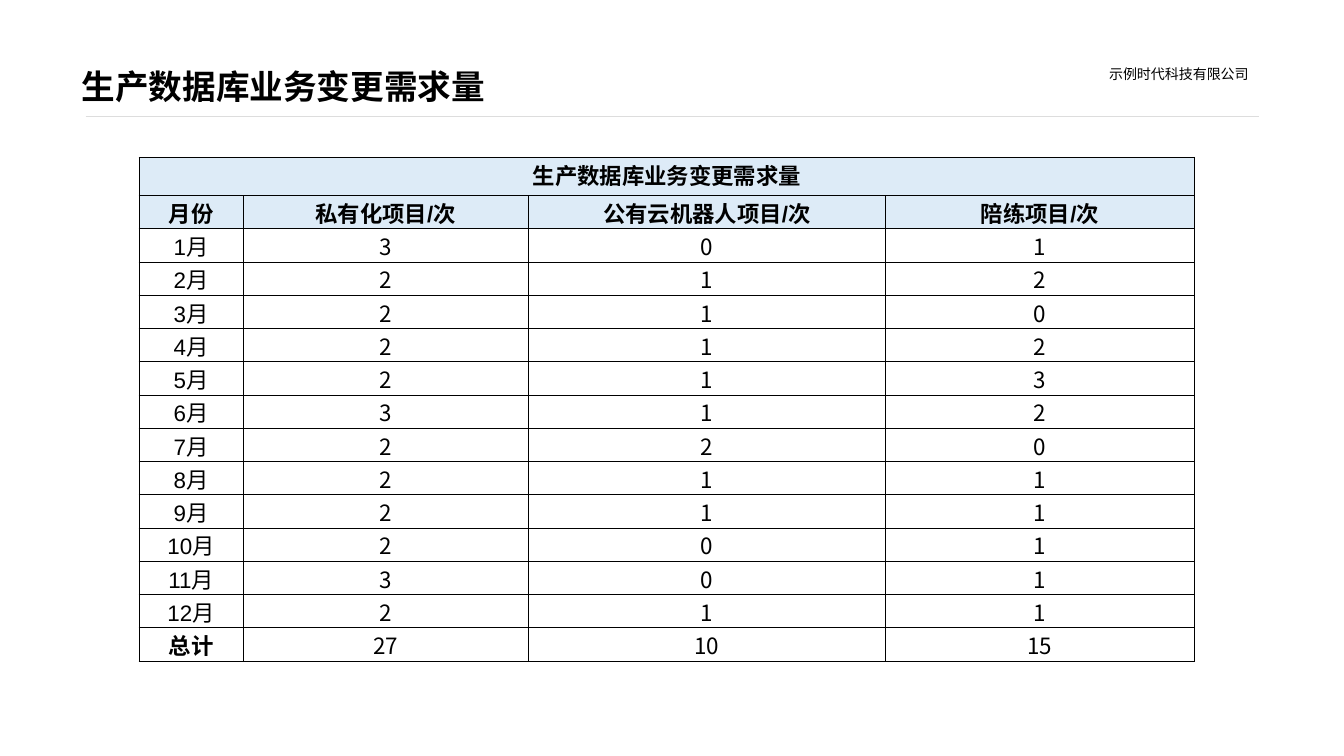
import pptx
import pptx.util
import pptx.dml.color
import pptx.enum.text
import pptx.enum.shapes
import pptx.oxml
import pptx.oxml.ns
from lxml import etree

TITLE = "生产数据库业务变更需求量"
FIRM = "示例时代科技有限公司"
HEADS = ["月份", "私有化项目/次", "公有云机器人项目/次", "陪练项目/次"]
COUNTS = [
    (3, 0, 1), (2, 1, 2), (2, 1, 0), (2, 1, 2), (2, 1, 3), (3, 1, 2),
    (2, 2, 0), (2, 1, 1), (2, 1, 1), (2, 0, 1), (3, 0, 1), (2, 1, 1),
]
WIDTHS = [1.03, 2.83, 3.54, 3.07]
TOP_ROW, ROW = 0.38, 0.33
LATIN, HAN = "Arial", "Noto Sans CJK SC"
BLACK, RULE, BLUE = "000000", "DDDDDD", "DDEBF7"

Inches = pptx.util.Inches
Pt = pptx.util.Pt
ALIGN = pptx.enum.text.PP_ALIGN
ANCHOR = pptx.enum.text.MSO_ANCHOR
qn = pptx.oxml.ns.qn


def color(code):
    return pptx.dml.color.RGBColor.from_string(code)


def box(left, top, width, height):
    return [Inches(n) for n in (left, top, width, height)]


def pad(item, left, top, right, low):
    item.margin_left, item.margin_top = Inches(left), Inches(top)
    item.margin_right, item.margin_bottom = Inches(right), Inches(low)


def write(para, text, size, font, bold=False):
    run = para.add_run()
    run.text = text
    run.font.size = Pt(size)
    run.font.bold = bold
    run.font.name = font
    run.font.color.rgb = color(BLACK)
    etree.SubElement(run.font._element, qn("a:ea"), typeface=HAN)


def border(cell):
    props = cell._tc.get_or_add_tcPr()
    for side in ("lnL", "lnR", "lnT", "lnB"):
        line = etree.SubElement(props, qn("a:" + side), w=str(Pt(0.75)))
        fill = etree.SubElement(line, qn("a:solidFill"))
        etree.SubElement(fill, qn("a:srgbClr"), val=BLACK)


def add_head(slide):
    rule = slide.shapes.add_connector(
        pptx.enum.shapes.MSO_CONNECTOR.STRAIGHT,
        Inches(0.85), Inches(1.15), Inches(12.49), Inches(1.15))
    rule.line.color.rgb = color(RULE)
    rule.line.width = Pt(0.5)
    etree.SubElement(rule._element.spPr, qn("a:effectLst"))

    firm = slide.shapes.add_textbox(*box(10.95, 0.6, 1.49, 0.27)).text_frame
    firm.word_wrap = False
    firm.auto_size = pptx.enum.text.MSO_AUTO_SIZE.SHAPE_TO_FIT_TEXT
    pad(firm, 0.05, 0.05, 0.05, 0.05)
    write(firm.paragraphs[0], FIRM, 10, HAN)

    title = slide.shapes.title
    title.left, title.top, title.width, title.height = box(0.76, 0.08, 8.94, 1.03)
    frame = title.text_frame
    frame.word_wrap = True
    frame.vertical_anchor = ANCHOR.BOTTOM
    pad(frame, 0.05, 0.05, 0.05, 0.05)
    para = frame.paragraphs[0]
    para.alignment = ALIGN.LEFT
    para.line_spacing = 0.9
    write(para, TITLE, 24, LATIN, True)


def add_grid(slide):
    months = [[f"{n}月", *row] for n, row in enumerate(COUNTS, 1)]
    total = ["总计", *(sum(col) for col in zip(*COUNTS))]
    rows = [[TITLE], HEADS, *months, total]
    high = TOP_ROW + ROW * (len(rows) - 1)
    table = slide.shapes.add_table(
        len(rows), len(WIDTHS), *box(1.38, 1.56, sum(WIDTHS), high)).table
    table.first_row = table.horz_banding = False
    for col, width in zip(table.columns, WIDTHS):
        col.width = Inches(width)
    for r, row in enumerate(table.rows):
        row.height = Inches(ROW if r else TOP_ROW)
        for c, cell in enumerate(row.cells):
            border(cell)
            pad(cell, 0.01, 0.01, 0.01, 0.05)
            cell.vertical_anchor = ANCHOR.MIDDLE
            if r < 2:
                cell.fill.solid()
                cell.fill.fore_color.rgb = color(BLUE)
            else:
                cell.fill.background()
            if c < len(rows[r]):
                para = cell.text_frame.paragraphs[0]
                para.alignment = ALIGN.CENTER
                font = LATIN if r < 2 or c == 0 else HAN
                bold = r < 2 or (c == 0 and r == len(rows) - 1)
                write(para, str(rows[r][c]), 16, font, bold)
    table.cell(0, 0).merge(table.cell(0, len(WIDTHS) - 1))


def main():
    deck = pptx.Presentation()
    deck.slide_width, deck.slide_height = Inches(13.33), Inches(7.5)
    slide = deck.slides.add_slide(deck.slide_layouts[5])
    add_head(slide)
    add_grid(slide)
    deck.save("out.pptx")


if __name__ == "__main__":
    main()
